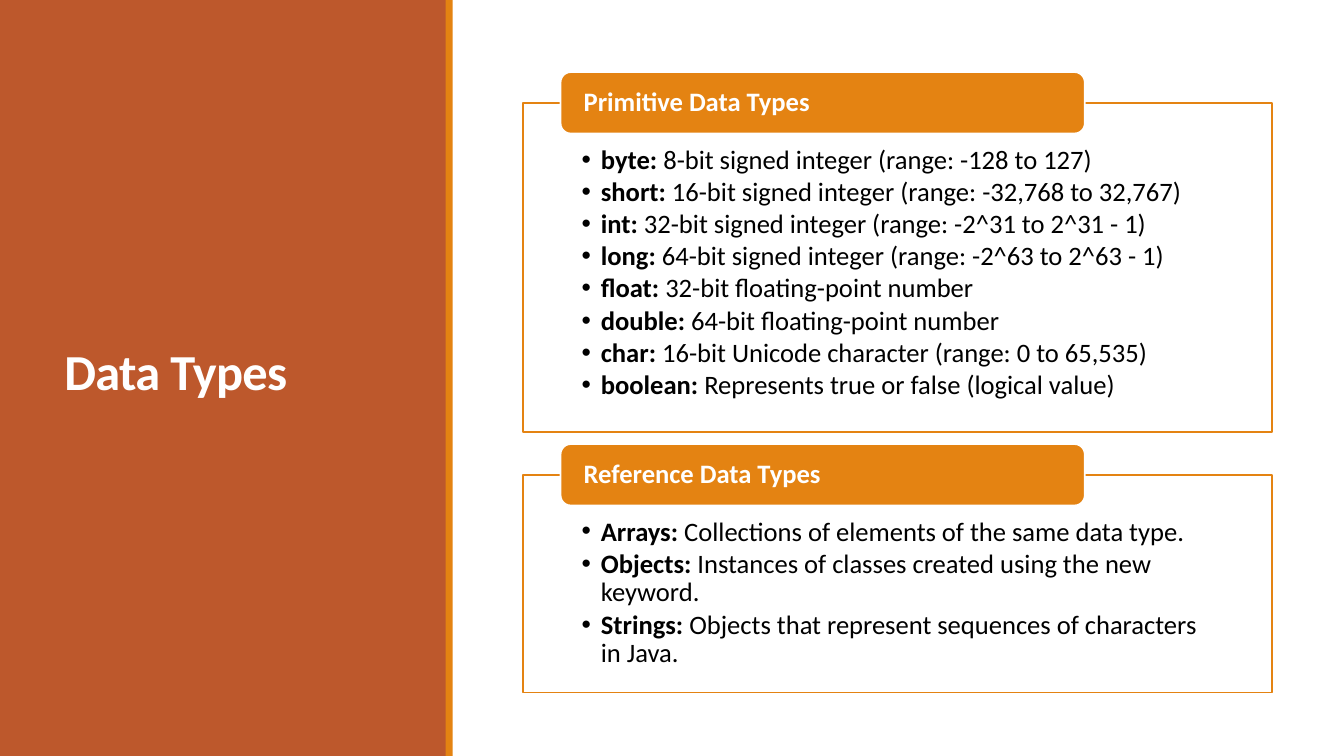
from lxml import etree
from pptx import Presentation
from pptx.dml.color import RGBColor
from pptx.enum.shapes import MSO_SHAPE as SHAPE
from pptx.enum.text import MSO_ANCHOR as ANCHOR, PP_ALIGN as ALIGN
from pptx.oxml.ns import qn
from pptx.util import Inches, Pt

RUST = RGBColor(0xBD, 0x58, 0x2C)
ORANGE = RGBColor(0xE4, 0x83, 0x12)
WHITE = RGBColor(0xFF, 0xFF, 0xFF)
BLACK = RGBColor(0x00, 0x00, 0x00)
FONT = "Calibri"
TAB_HEIGHT = 0.61

SECTIONS = [
    ("Primitive Data Types", 1.02, 3.27, [
        ("byte: ", "8-bit signed integer (range: -128 to 127)"),
        ("short: ", "16-bit signed integer (range: -32,768 to 32,767)"),
        ("int: ", "32-bit signed integer (range: -2^31 to 2^31 - 1)"),
        ("long: ", "64-bit signed integer (range: -2^63 to 2^63 - 1)"),
        ("float: ", "32-bit floating-point number"),
        ("double: ", "64-bit floating-point number"),
        ("char: ", "16-bit Unicode character (range: 0 to 65,535)"),
        ("boolean: ", "Represents true or false (logical value)"),
    ]),
    ("Reference Data Types", 4.71, 2.16, [
        ("Arrays: ", "Collections of elements of the same data type."),
        ("Objects: ", "Instances of classes created using the new keyword."),
        ("Strings: ", "Objects that represent sequences of characters in Java."),
    ]),
]


def add_box(slide, kind, left, top, width, height, fill, line=None):
    s = slide.shapes.add_shape(kind, Inches(left), Inches(top), Inches(width), Inches(height))
    s.shadow.inherit = False
    s.fill.solid()
    s.fill.fore_color.rgb = fill
    if line is None:
        s.line.fill.background()
    else:
        s.line.color.rgb = line
        s.line.width = Pt(1.25)
    return s


def set_frame(tf, anchor, left, top, right, bottom):
    tf.word_wrap = True
    tf.vertical_anchor = anchor
    tf.margin_left, tf.margin_top = Inches(left), Inches(top)
    tf.margin_right, tf.margin_bottom = Inches(right), Inches(bottom)


def add_run(p, text, size, color, bold):
    r = p.add_run()
    r.text = text
    r.font.name = FONT
    r.font.size = Pt(size)
    r.font.color.rgb = color
    r.font.bold = bold
    return r


def add_bullet(p):
    pPr = p._p.get_or_add_pPr()
    pPr.set("marL", str(Inches(0.19)))
    pPr.set("indent", str(Inches(-0.19)))
    etree.SubElement(pPr, qn("a:buFont")).set("typeface", "Arial")
    etree.SubElement(pPr, qn("a:buChar")).set("char", "•")


def add_title(slide, text):
    s = slide.shapes.add_textbox(Inches(0.54), Inches(0.57), Inches(3.37), Inches(6.31))
    set_frame(s.text_frame, ANCHOR.MIDDLE, 0.1, 0.05, 0.1, 0.05)
    p = s.text_frame.paragraphs[0]
    p.line_spacing = 0.85
    r = add_run(p, text, 36, WHITE, True)
    r.font._element.set("spc", "-50")


def add_panel(slide, top, height, items):
    s = add_box(slide, SHAPE.RECTANGLE, 5.19, top, 7.43, height, WHITE, ORANGE)
    tf = s.text_frame
    set_frame(tf, ANCHOR.TOP, 0.58, 0.43, 0.58, 0.15)
    for i, (term, meaning) in enumerate(items):
        p = tf.add_paragraph() if i else tf.paragraphs[0]
        p.alignment = ALIGN.LEFT
        p.line_spacing = 0.9
        p.space_after = Pt(2.5)
        add_bullet(p)
        add_run(p, term, 19, BLACK, True)
        add_run(p, meaning, 19, BLACK, False)


def add_heading(slide, top, text):
    s = add_box(slide, SHAPE.ROUNDED_RECTANGLE, 5.56, top, 5.2, TAB_HEIGHT, ORANGE, WHITE)
    set_frame(s.text_frame, ANCHOR.MIDDLE, 0.2, 0, 0.2, 0)
    p = s.text_frame.paragraphs[0]
    p.alignment = ALIGN.LEFT
    p.line_spacing = 0.9
    add_run(p, text, 19, WHITE, True)


def main():
    prs = Presentation()
    prs.slide_width, prs.slide_height = Inches(13.33), Inches(7.5)
    slide = prs.slides.add_slide(prs.slide_layouts[6])
    add_box(slide, SHAPE.RECTANGLE, 0, 0, 4.43, 7.5, RUST)
    add_title(slide, "Data Types")
    add_box(slide, SHAPE.RECTANGLE, 4.42, 0, 0.07, 7.5, ORANGE)
    for heading, top, height, items in SECTIONS:
        add_panel(slide, top, height, items)
        add_heading(slide, top - TAB_HEIGHT / 2, heading)
    prs.save("out.pptx")


if __name__ == "__main__":
    main()
